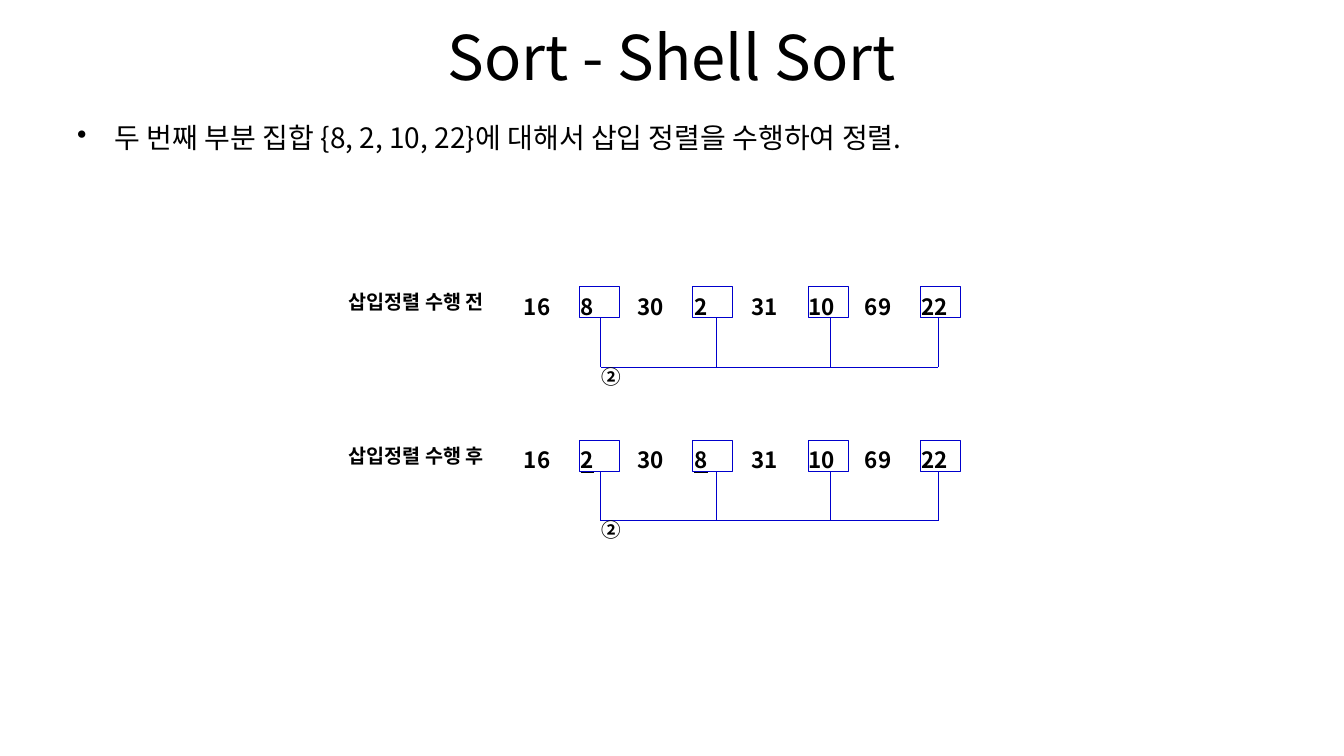
from lxml import etree
from pptx import Presentation
from pptx.dml.color import RGBColor
from pptx.enum.shapes import MSO_CONNECTOR, MSO_SHAPE
from pptx.enum.text import MSO_ANCHOR, MSO_AUTO_SIZE, PP_ALIGN
from pptx.oxml.ns import qn
from pptx.util import Pt

# Content
TITLE = "Sort - Shell Sort"
BULLET = "두 번째 부분 집합 {8, 2, 10, 22}에 대해서 삽입 정렬을 수행하여 정렬."
SUBSET_MARK = "②"
# label, numbers, underlined columns, top of the row
STAGES = [
    ("삽입정렬 수행 전", [16, 8, 30, 2, 31, 10, 69, 22], (), 203),
    ("삽입정렬 수행 후", [16, 2, 30, 8, 31, 10, 69, 22], (1, 3), 312.8),
]

# Style
FONT = "Noto Sans CJK KR"
BLACK = RGBColor(0x00, 0x00, 0x00)
WHITE = RGBColor(0xFF, 0xFF, 0xFF)
BLUE = RGBColor(0x00, 0x00, 0xCC)
LEFT, CENTER = PP_ALIGN.LEFT, PP_ALIGN.CENTER
MIDDLE = MSO_ANCHOR.MIDDLE
STRAIGHT, RECTANGLE = MSO_CONNECTOR.STRAIGHT, MSO_SHAPE.RECTANGLE
FIT_SHAPE = MSO_AUTO_SIZE.SHAPE_TO_FIT_TEXT

# Layout, in points
MARGIN, CONTENT_WIDTH = 48, 864
TABLE_LEFT, COLUMN_WIDTH, ROW_HEIGHT = 367, 40.6, 26.6
BOX_LEFTS = [414, 494.6, 577.4, 657.8]
BOX_WIDTH, BOX_HEIGHT, BOX_DROP = 28.4, 22.3, 1.7
STEM_XS = [429, 511.6, 593.3, 670.3]
STEM_DROP, BRACKET_DROP = 24.2, 59.3
LABEL_LEFT, LABEL_WIDTH, LABEL_DROP = 242, 123, 0.7
MARK_LEFT, MARK_WIDTH, MARK_DROP = 422.6, 29, 53.9
CAPTION_HEIGHT = 24.5


def style_paragraph(paragraph, size, bold=False):
    font = paragraph.font
    font.name, font.size, font.bold = FONT, Pt(size), bold
    font.color.rgb = BLACK


def add_text(slide, text, left, top, width, height, size, bold=False, align=LEFT):
    shape = slide.shapes.add_textbox(Pt(left), Pt(top), Pt(width), Pt(height))
    frame = shape.text_frame
    frame.word_wrap = True
    paragraph = frame.paragraphs[0]
    paragraph.text = text
    paragraph.alignment = align
    style_paragraph(paragraph, size, bold)
    return frame


def add_caption(slide, text, left, top, width):
    frame = add_text(slide, text, left, top, width, CAPTION_HEIGHT, 14, True)
    frame.word_wrap = False
    frame.auto_size = FIT_SHAPE


def add_bullet(slide, text):
    frame = add_text(slide, text, MARGIN, 82.8, CONTENT_WIDTH, 408, 20)
    properties = frame.paragraphs[0]._p.get_or_add_pPr()
    properties.set("marL", str(Pt(27)))
    properties.set("indent", str(-Pt(27)))
    bullet = etree.Element(qn("a:buChar"), char="•")
    properties.insert(0, bullet)


def add_numbers(slide, numbers, underlined, top):
    count = len(numbers)
    table = slide.shapes.add_table(1, count, Pt(TABLE_LEFT), Pt(top),
                                   Pt(COLUMN_WIDTH * count), Pt(ROW_HEIGHT)).table
    table.first_row = table.horz_banding = False
    for column, number in enumerate(numbers):
        cell = table.cell(0, column)
        cell.fill.solid()
        cell.fill.fore_color.rgb = WHITE
        cell.vertical_anchor = MIDDLE
        paragraph = cell.text_frame.paragraphs[0]
        paragraph.text = str(number)
        style_paragraph(paragraph, 16, True)
        if column in underlined:
            paragraph.font.underline = True


def add_line(slide, x1, y1, x2, y2):
    line = slide.shapes.add_connector(STRAIGHT, Pt(x1), Pt(y1), Pt(x2), Pt(y2))
    line.line.color.rgb = BLUE
    line.line.width = Pt(0.75)
    etree.SubElement(line._element.spPr, qn("a:effectLst"))


def add_bracket(slide, top):
    bottom = top + BRACKET_DROP
    for x in STEM_XS:
        add_line(slide, x, top + STEM_DROP, x, bottom)
    add_line(slide, STEM_XS[0], bottom, STEM_XS[-1], bottom)
    for left in BOX_LEFTS:
        box = slide.shapes.add_shape(RECTANGLE, Pt(left), Pt(top + BOX_DROP),
                                     Pt(BOX_WIDTH), Pt(BOX_HEIGHT))
        box.shadow.inherit = False
        box.fill.background()
        box.line.color.rgb = BLUE
        box.line.width = Pt(0.75)


def main():
    presentation = Presentation()
    presentation.slide_width, presentation.slide_height = Pt(960), Pt(540)
    slide = presentation.slides.add_slide(presentation.slide_layouts[6])

    # Heading and bullet
    title = add_text(slide, TITLE, MARGIN, 9.4, CONTENT_WIDTH, 61.2, 44, align=CENTER)
    title.vertical_anchor = MIDDLE
    add_bullet(slide, BULLET)

    # Numbers before and after the insertion sort
    for label, numbers, underlined, top in STAGES:
        add_numbers(slide, numbers, underlined, top)
        add_bracket(slide, top)
        add_caption(slide, SUBSET_MARK, MARK_LEFT, top + MARK_DROP, MARK_WIDTH)
        add_caption(slide, label, LABEL_LEFT, top + LABEL_DROP, LABEL_WIDTH)

    presentation.save("out.pptx")


if __name__ == "__main__":
    main()
